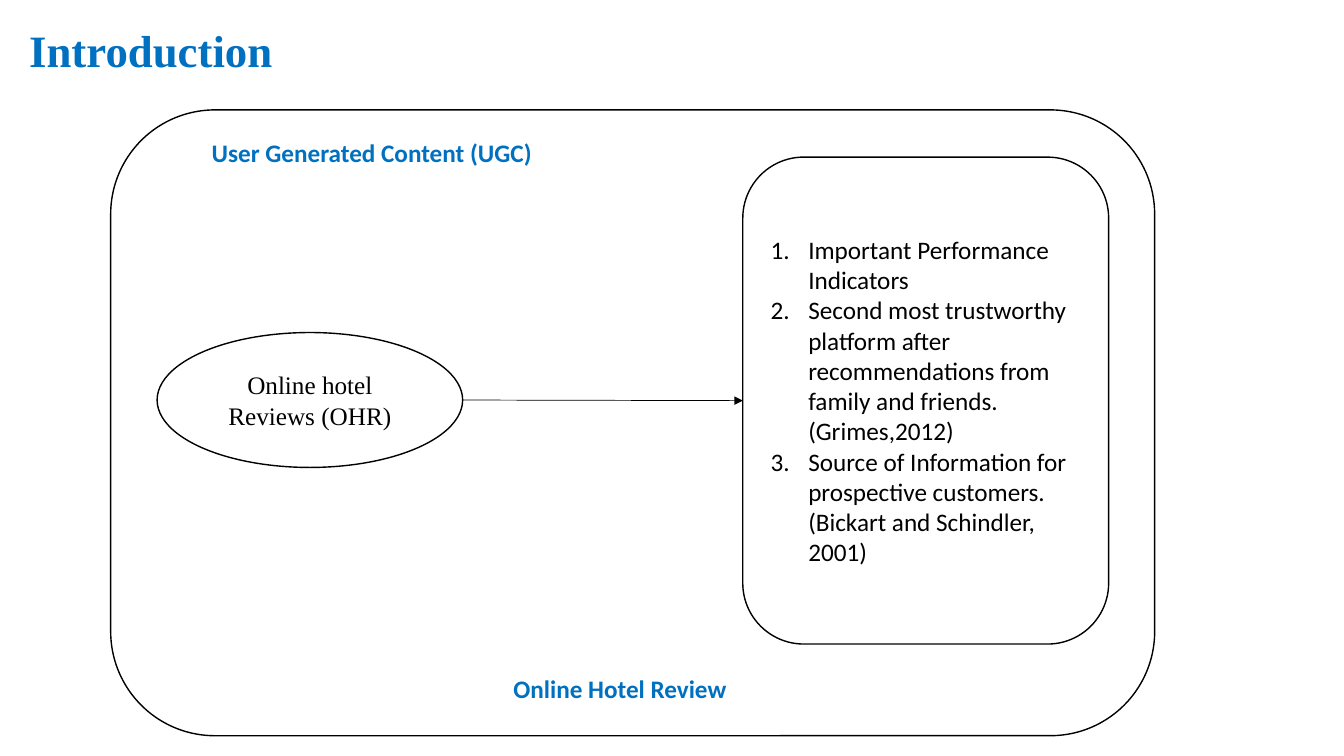
from lxml.etree import SubElement
from pptx import Presentation
from pptx.dml.color import RGBColor
from pptx.enum.shapes import MSO_CONNECTOR as Connector, MSO_SHAPE as Shape
from pptx.enum.text import MSO_ANCHOR as Anchor, MSO_AUTO_SIZE as AutoSize, PP_ALIGN as Align
from pptx.oxml.ns import qn
from pptx.util import Cm, Pt

COLORS = {"accent": "0070C0", "ink": "000000"}
SERIF, SANS = "Times New Roman", "Calibri"
TITLE = ("Introduction", (0.48, 0.18, 25.43, 2.29))
REVIEWS = ("Online hotel Reviews (OHR)", (3.96, 8.38, 7.7, 3.4))
ROLES = ([
    "Important Performance Indicators",
    "Second most trustworthy platform after recommendations from family and friends. (Grimes,2012)",
    "Source of Information for prospective customers. (Bickart and Schindler, 2001)",
], (18.72, 3.96, 9.22, 12.27))
FRAME_BOX = (2.79, 2.77, 26.31, 15.77)
LABELS = [
    ("Online Hotel Review", (12.27, 16.84, 6.71, 1.02)),
    ("User Generated Content (UGC)", (3.96, 3.33, 10.82, 1.8)),
]
NUMBER_INDENT = Cm(0.95)


def color(name):
    return RGBColor.from_string(COLORS[name])


def write(frame, *lines, size=18, font=SANS, ink="ink", bold=False,
          align=Align.LEFT, anchor=Anchor.MIDDLE, spacing=1.0, numbered=False):
    frame.word_wrap = True
    frame.auto_size = AutoSize.NONE
    frame.vertical_anchor = anchor
    for index, line in enumerate(lines):
        paragraph = frame.add_paragraph() if index else frame.paragraphs[0]
        paragraph.alignment = align
        paragraph.line_spacing = spacing
        if numbered:
            properties = paragraph._p.get_or_add_pPr()
            properties.set("marL", str(NUMBER_INDENT))
            properties.set("indent", str(-NUMBER_INDENT))
            SubElement(properties, qn("a:buFont"), typeface="+mj-lt")
            SubElement(properties, qn("a:buAutoNum"), type="arabicPeriod")
        run = paragraph.add_run()
        run.text = line
        run.font.size = Pt(size)
        run.font.name = font
        run.font.bold = bold
        run.font.color.rgb = color(ink)


def add_outline(slide, kind, box):
    outline = slide.shapes.add_shape(kind, *map(Cm, box))
    outline.shadow.inherit = False
    outline.fill.background()
    outline.line.color.rgb = color("ink")
    outline.line.width = Pt(1)
    return outline


def add_arrow(slide, source, target):
    middle = source.top + source.height // 2
    arrow = slide.shapes.add_connector(
        Connector.STRAIGHT, source.left + source.width, middle, target.left, middle)
    arrow.end_connect(target, 1)
    arrow.line.color.rgb = color("ink")
    arrow.line.width = Pt(0.5)
    SubElement(arrow.line._get_or_add_ln(), qn("a:tailEnd"), type="triangle")
    SubElement(arrow._element.spPr, qn("a:effectLst"))


def main():
    deck = Presentation()
    deck.slide_width, deck.slide_height = Cm(33.87), Cm(19.05)
    slide = deck.slides.add_slide(deck.slide_layouts[5])

    heading, heading_box = TITLE
    title = slide.shapes.title
    title.left, title.top, title.width, title.height = map(Cm, heading_box)
    write(title.text_frame, heading, size=32, font=SERIF, ink="accent", bold=True, spacing=0.9)

    reviews_text, reviews_box = REVIEWS
    reviews = add_outline(slide, Shape.OVAL, reviews_box)
    write(reviews.text_frame, reviews_text, font=SERIF, align=Align.CENTER)

    role_lines, roles_box = ROLES
    roles = add_outline(slide, Shape.ROUNDED_RECTANGLE, roles_box)
    write(roles.text_frame, *role_lines, numbered=True)

    add_arrow(slide, reviews, roles)
    add_outline(slide, Shape.ROUNDED_RECTANGLE, FRAME_BOX)

    for text, box in LABELS:
        label = slide.shapes.add_textbox(*map(Cm, box))
        write(label.text_frame, text, ink="accent", bold=True,
              align=Align.CENTER, anchor=Anchor.TOP)

    deck.save("out.pptx")


if __name__ == "__main__":
    main()
